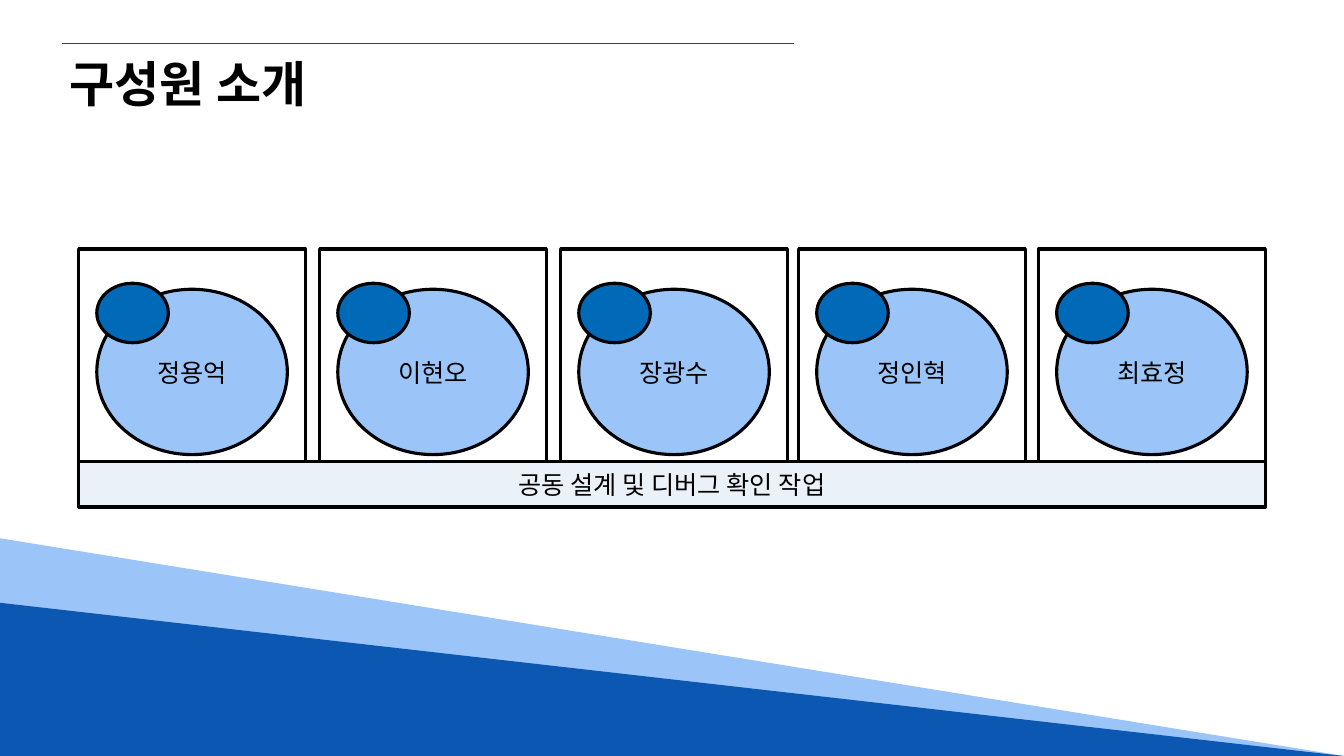
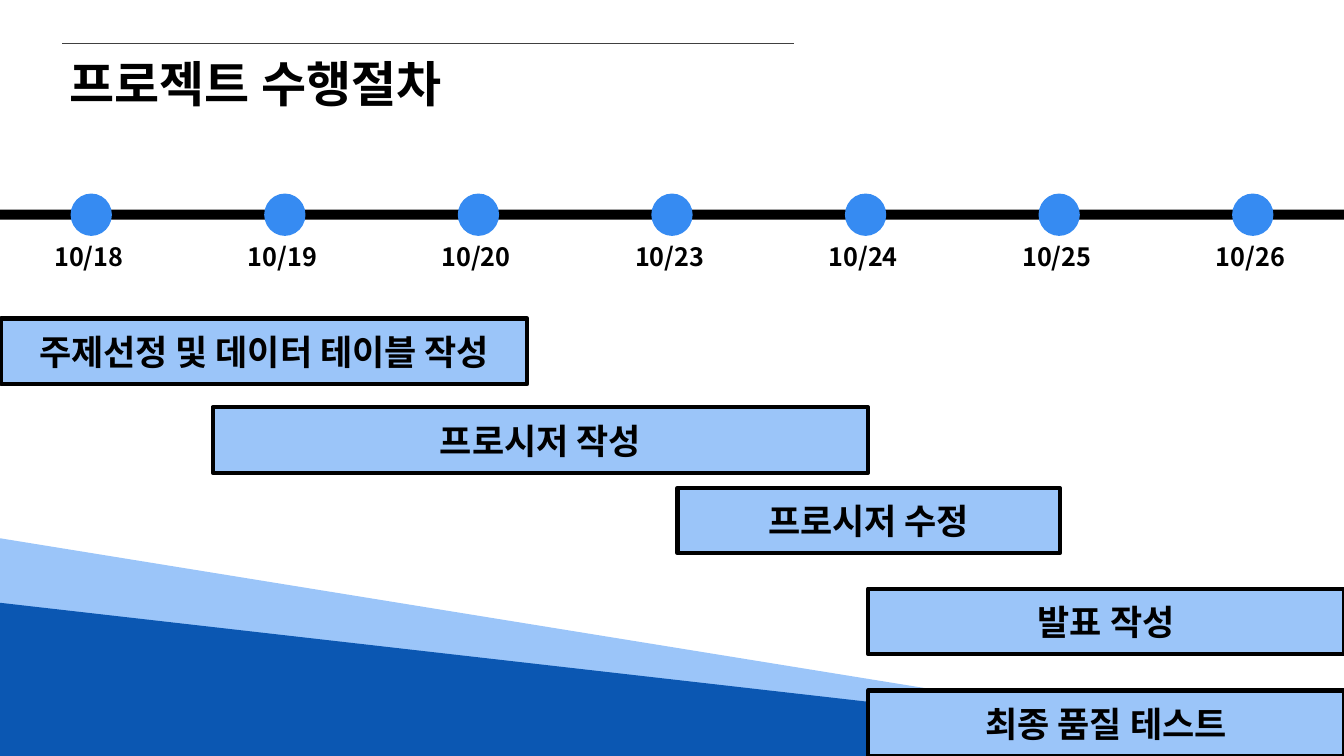
import pptx
import pptx.util
import pptx.dml.color
import pptx.enum.shapes
import pptx.enum.text
import pptx.oxml.ns
import lxml.etree

RGB = pptx.dml.color.RGBColor
KIND = pptx.enum.shapes.MSO_SHAPE
ALIGN = pptx.enum.text.PP_ALIGN
ANCHOR = pptx.enum.text.MSO_ANCHOR
FIT = pptx.enum.text.MSO_AUTO_SIZE
Pt = pptx.util.Pt
qn = pptx.oxml.ns.qn

# Content: lengths in px, 100 to the inch
TEAM_TITLE = ("구성원 소개", 264)
TEAM = [("정용억", 78), ("이현오", 317), ("장광수", 556), ("정인혁", 792), ("최효정", 1030)]
JOINT = "공동 설계 및 디버그 확인 작업"

PLAN_TITLE = ("프로젝트 수행절차", 403)
DATES = ["10/18", "10/19", "10/20", "10/23", "10/24", "10/25", "10/26"]
TASKS = [  # text, left, top, width
    ("주제선정 및 데이터 테이블 작성", 1, 316, 522),
    ("프로시저 작성", 211, 404, 650),
    ("프로시저 수정", 672, 484, 379),
    ("발표 작성", 861, 584, 472),
    ("최종 품질 테스트", 861, 685, 472),
]

# Shared style
PX = 9144
WIDE, HIGH = 1333, 750
STEP = 192
FONT = "Noto Sans CJK KR"
BLACK = RGB(0x00, 0x00, 0x00)
GREY = RGB(0x40, 0x40, 0x40)
PALE = RGB(0xEB, 0xF1, 0xF9)
LIGHT = RGB(0x9B, 0xC5, 0xF9)
BRIGHT = RGB(0x36, 0x8B, 0xF2)
BLUE = RGB(0x00, 0x69, 0xB8)
DEEP = RGB(0x0B, 0x57, 0xB2)
WEDGES = [(534, LIGHT), (598, DEEP)]


def emu(*nums):
    return [n * PX for n in nums]


def write(shape, text, size, bold=False, align=ALIGN.LEFT, anchor=ANCHOR.TOP):
    frame = shape.text_frame
    frame.text = text
    frame.vertical_anchor = anchor
    para = frame.paragraphs[0]
    para.alignment = align
    for run in para.runs:
        font = run.font
        font.name, font.size, font.bold = FONT, Pt(size), bold
        font.color.rgb = BLACK
        east = lxml.etree.SubElement(run._r.get_or_add_rPr(), qn("a:ea"))
        east.set("typeface", FONT)
    return frame


def draw(slide, kind, box, fill=None, line=0):
    shape = slide.shapes.add_shape(kind, *emu(*box))
    shape.shadow.inherit = False
    if fill is None:
        shape.fill.background()
    else:
        shape.fill.solid()
        shape.fill.fore_color.rgb = fill
    if line:
        shape.line.color.rgb = BLACK
        shape.line.width = Pt(line)
    else:
        shape.line.fill.background()
    return shape


def label(shape, text, size, bold=False):
    write(shape, text, size, bold, ALIGN.CENTER, ANCHOR.MIDDLE)


def start(deck, text, width):
    """Add a slide with wedges, top rule and title."""
    slide = deck.slides.add_slide(deck.slide_layouts[5])
    for top, fill in WEDGES:
        draw(slide, KIND.RIGHT_TRIANGLE, (0, top, WIDE, HIGH - top), fill)
    rule = slide.shapes.add_connector(
        pptx.enum.shapes.MSO_CONNECTOR.STRAIGHT, *emu(62, 43, 788, 43))
    rule.line.color.rgb = GREY
    rule.line.width = Pt(0.5)
    lxml.etree.SubElement(rule._element.spPr, qn("a:effectLst"))
    title = slide.shapes.title
    title.left, title.top, title.width, title.height = emu(59, 48, width, 69)
    frame = write(title, text, 35, True)
    frame.word_wrap = False
    frame.auto_size = FIT.SHAPE_TO_FIT_TEXT
    return slide


def team(deck):
    slide = start(deck, *TEAM_TITLE)
    for name, left in TEAM:
        draw(slide, KIND.RECTANGLE, (left, 247, 225, 256), line=2.25)
        body = draw(slide, KIND.OVAL, (left + 18, 287, 189, 164), LIGHT, 2.25)
        label(body, name, 18)
        draw(slide, KIND.OVAL, (left + 18, 281, 71, 59), BLUE, 2.25)
    # Joint work bar spans all frames
    first, last = TEAM[0][1], TEAM[-1][1]
    bar = draw(slide, KIND.RECTANGLE, (first, 458, last + 225 - first, 45), PALE, 2.25)
    label(bar, JOINT, 18)


def plan(deck):
    slide = start(deck, *PLAN_TITLE)
    # Timeline
    draw(slide, KIND.RECTANGLE, (0, 208, WIDE, 10), BLACK)
    for i, date in enumerate(DATES):
        draw(slide, KIND.OVAL, (70 + i * STEP, 192, 41, 42), BRIGHT)
        note = slide.shapes.add_textbox(*emu(44 + i * STEP, 234, 94, 40))
        write(note, date, 18, True).word_wrap = True
    # Task bars
    for text, left, top, width in TASKS:
        task = draw(slide, KIND.RECTANGLE, (left, top, width, 65), LIGHT, 3)
        label(task, text, 25, True)


def main():
    deck = pptx.Presentation()
    deck.slide_width, deck.slide_height = emu(WIDE, HIGH)
    team(deck)
    plan(deck)
    deck.save("out.pptx")


if __name__ == "__main__":
    main()
